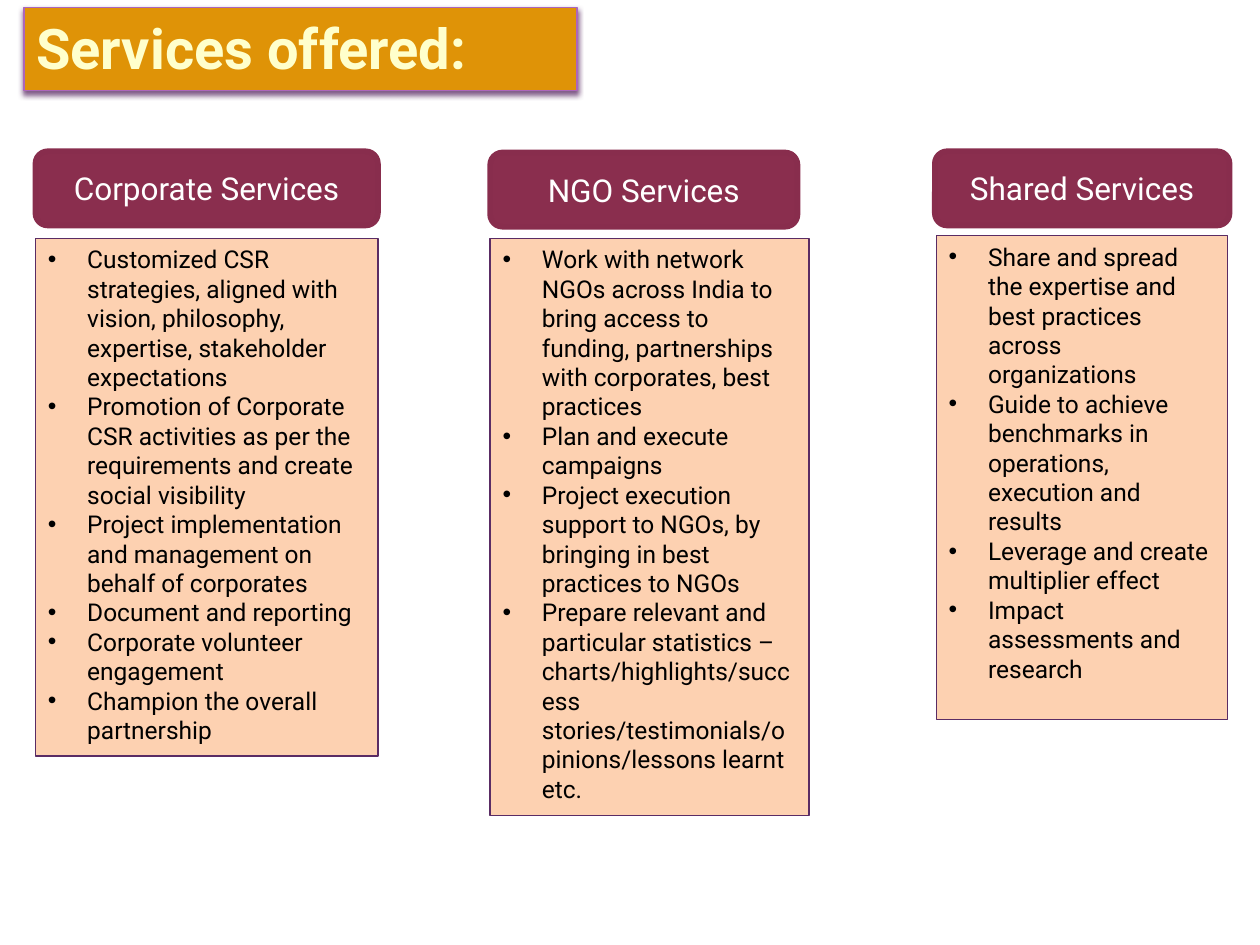
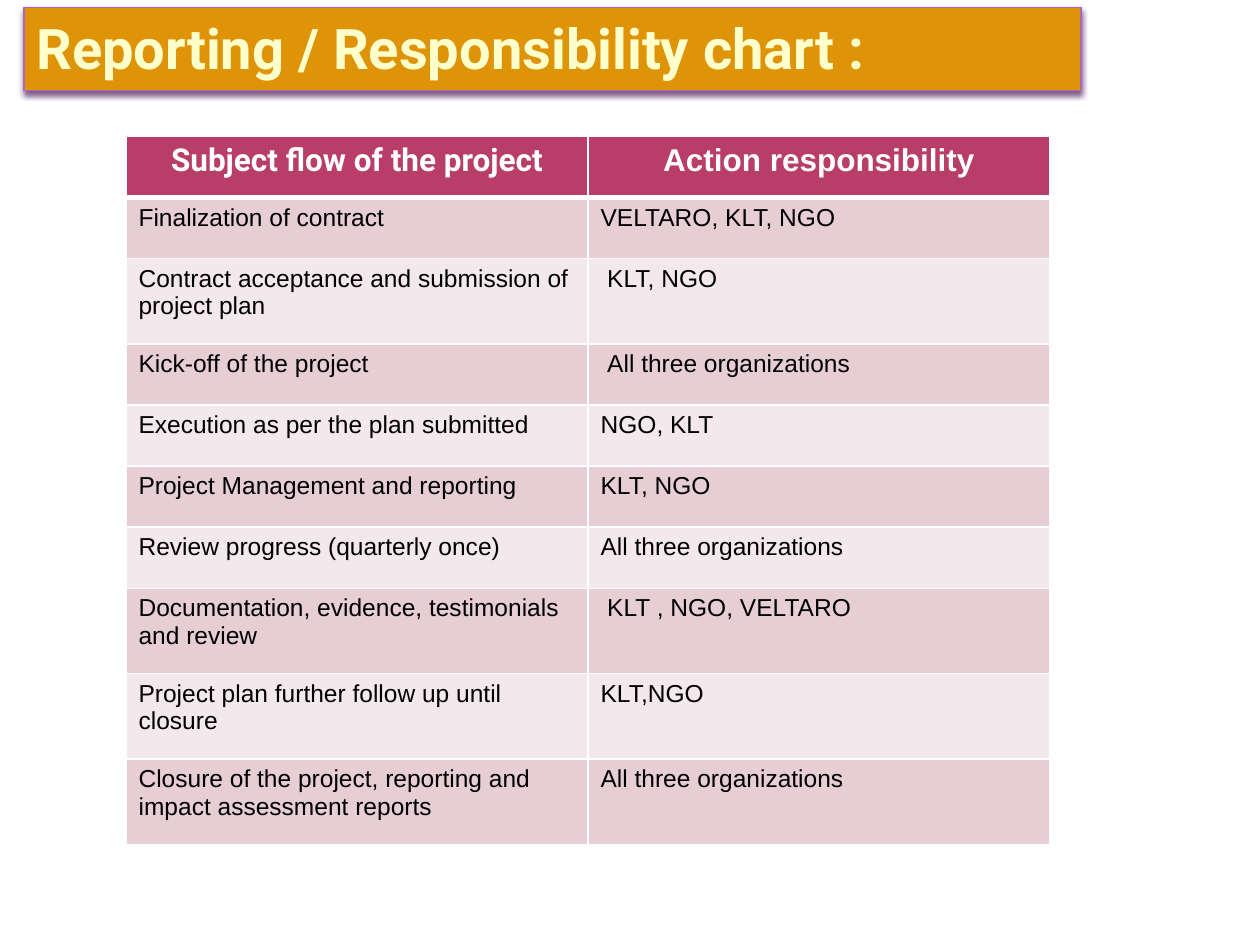
from lxml import etree
from pptx import Presentation
from pptx.dml.color import RGBColor
from pptx.enum import shapes, text
from pptx.oxml import ns
from pptx.util import Pt

FONT = "Roboto"
TABLE_FONT = "Arial"
TITLE_FILL, TITLE_LINE, TITLE_TEXT, TITLE_SHADOW = "DF9307", "AC66BB", "FFFFCC", "6A3F73"
HEAD_FILL, HEAD_LINE = "8A2E4E", "882D4D"
BODY_FILL, BODY_LINE = "FDD1B1", "5A2C64"
TABLE_HEAD, TABLE_BANDS = "B83D68", ("F3E8EB", "E6CED4")
WHITE, BLACK = "FFFFFF", "000000"

TITLE_LEFT, TITLE_TOP, TITLE_HEIGHT = 13.7, 4.3, 47.5
HEAD_HEIGHT = 42.5
BULLET_INDENT = 22.5
ROW_HEIGHT, TALL_ROW_HEIGHT = 34.9, 48.8
TALL_ROWS = (2, 7, 8, 9)
INSET_ROWS = (2, 3, 7)
CELL_MARGIN, INSET_MARGIN = 7.2, 11

SERVICES = [
    ("Corporate Services", (20.2, 86.4, 195.8), (20.2, 136.1, 195.8, 295.9), [
        "Customized CSR strategies, aligned with vision, philosophy, expertise, "
        "stakeholder expectations",
        "Promotion of Corporate CSR activities as per the requirements and create "
        "social visibility",
        "Project implementation and management on behalf of corporates",
        "Document and reporting",
        "Corporate volunteer engagement",
        "Champion the overall partnership",
    ]),
    ("NGO Services", (280.1, 87.1, 175.7), (280.1, 136.1, 182.2, 329.8), [
        "Work with network NGOs across India to bring access to funding, partnerships "
        "with corporates, best practices",
        "Plan and execute campaigns",
        "Project execution support to NGOs, by bringing in best practices to NGOs",
        "Prepare relevant and particular statistics – charts/highlights/success "
        "stories/testimonials/opinions/lessons learnt etc.",
    ]),
    ("Shared Services", (534.2, 86.4, 168.5), (535, 134.6, 166.3, 276.5), [
        "Share and spread the expertise and best practices across organizations",
        "Guide to achieve benchmarks in operations, execution and results",
        "Leverage and create multiplier effect",
        "Impact assessments and research",
    ]),
]

RESPONSIBILITIES = [
    ("Subject flow of the project", "Action responsibility"),
    ("Finalization of contract", "VELTARO, KLT, NGO"),
    ("Contract acceptance and submission of project plan", "KLT, NGO"),
    ("Kick-off of the project", "All three organizations"),
    ("Execution as per the plan submitted", "NGO, KLT"),
    ("Project Management and reporting", "KLT, NGO"),
    ("Review progress (quarterly once)", "All three organizations"),
    ("Documentation, evidence, testimonials and review", "KLT , NGO, VELTARO"),
    ("Project plan further follow up until closure", "KLT,NGO"),
    ("Closure of the project, reporting and impact assessment reports",
     "All three organizations"),
]


def color(value):
    """Turn a hex string into a colour."""
    return RGBColor.from_string(value)


def add_node(parent, tag, **attributes):
    """Append a DrawingML element to its parent."""
    return etree.SubElement(parent, ns.qn(tag), attributes)


def add_panel(page, kind, box, fill, line, line_width):
    """Draw a filled, outlined shape whose text starts at the top."""
    panel = page.shapes.add_shape(kind, *map(Pt, box))
    panel.shadow.inherit = False
    panel.fill.solid()
    panel.fill.fore_color.rgb = color(fill)
    panel.line.color.rgb = color(line)
    panel.line.width = Pt(line_width)
    panel.text_frame.word_wrap = True
    panel.text_frame.vertical_anchor = text.MSO_ANCHOR.TOP
    return panel


def write(para, words, size, ink, font=FONT, bold=False, align=text.PP_ALIGN.LEFT):
    """Add one styled run to a paragraph."""
    para.alignment = align
    span = para.add_run()
    span.text = words
    span.font.size = Pt(size)
    span.font.name = font
    span.font.bold = bold
    span.font.color.rgb = color(ink)


def add_title(page, words, width):
    """Draw the title band with its soft shadow."""
    box = (TITLE_LEFT, TITLE_TOP, width, TITLE_HEIGHT)
    band = add_panel(page, shapes.MSO_SHAPE.RECTANGLE, box, TITLE_FILL, TITLE_LINE, 0.9)
    effects = band.element.spPr.find(ns.qn("a:effectLst"))
    shadow = add_node(effects, "a:outerShdw", blurRad=str(Pt(3.1)), dist=str(Pt(2)),
                      dir="5400000", rotWithShape="0")
    add_node(add_node(shadow, "a:srgbClr", val=TITLE_SHADOW), "a:alpha", val="83000")
    write(band.text_frame.paragraphs[0], words, 32, TITLE_TEXT, bold=True)


def add_service(page, name, head_box, body_box, points):
    """Draw one service heading and its bulleted panel."""
    head = add_panel(page, shapes.MSO_SHAPE.ROUNDED_RECTANGLE, (*head_box, HEAD_HEIGHT),
                     HEAD_FILL, HEAD_LINE, 3.15)
    head.text_frame.vertical_anchor = text.MSO_ANCHOR.MIDDLE
    write(head.text_frame.paragraphs[0], name, 18, WHITE, align=text.PP_ALIGN.CENTER)

    body = add_panel(page, shapes.MSO_SHAPE.RECTANGLE, body_box, BODY_FILL, BODY_LINE, 0.75)
    for index, point in enumerate(points):
        frame = body.text_frame
        para = frame.add_paragraph() if index else frame.paragraphs[0]
        properties = para._p.get_or_add_pPr()
        properties.set("marL", str(Pt(BULLET_INDENT)))
        properties.set("indent", str(-Pt(BULLET_INDENT)))
        add_node(properties, "a:buFont", typeface="Arial")
        add_node(properties, "a:buChar", char="•")
        write(para, point, 14, BLACK)


def set_borders(cell, top, bottom):
    """Give a cell white borders of the stated top and bottom widths."""
    properties = cell._tc.get_or_add_tcPr()
    widths = {"a:lnL": 1, "a:lnR": 1, "a:lnT": top, "a:lnB": bottom}
    for position, (tag, width) in enumerate(widths.items()):
        edge = add_node(properties, tag, w=str(Pt(width)))
        add_node(add_node(edge, "a:solidFill"), "a:srgbClr", val=WHITE)
        properties.insert(position, edge)


def add_responsibility_table(page, left, top, width):
    """Draw the table of project steps and who acts on them."""
    heights = [TALL_ROW_HEIGHT if row in TALL_ROWS else ROW_HEIGHT
               for row in range(len(RESPONSIBILITIES))]
    table = page.shapes.add_table(len(heights), 2, Pt(left), Pt(top), Pt(width),
                                  Pt(sum(heights))).table
    for column in table.columns:
        column.width = Pt(width / 2)
    for row, words in enumerate(RESPONSIBILITIES):
        table.rows[row].height = Pt(heights[row])
        for column, entry in enumerate(words):
            cell = table.cell(row, column)
            cell.fill.solid()
            cell.fill.fore_color.rgb = color(TABLE_BANDS[row % 2] if row else TABLE_HEAD)
            set_borders(cell, 3 if row == 1 else 1, 1 if row else 3)
            inset = column == 1 and row in INSET_ROWS
            cell.margin_left = Pt(INSET_MARGIN if inset else CELL_MARGIN)
            para = cell.text_frame.paragraphs[0]
            if row:
                write(para, entry, 14, BLACK, TABLE_FONT)
            else:
                write(para, entry, 18, WHITE, TABLE_FONT if column else FONT, True,
                      text.PP_ALIGN.CENTER)


def build_services(page):
    """Fill the slide of services offered."""
    for service in SERVICES:
        add_service(page, *service)
    add_title(page, "Services offered:", 316)


def build_responsibilities(page):
    """Fill the slide with the responsibility chart."""
    add_title(page, "Reporting / Responsibility chart :", 604)
    add_responsibility_table(page, 72, 78, 528)


def main():
    """Build the deck and save it."""
    deck = Presentation()
    deck.slide_width, deck.slide_height = Pt(720), Pt(540)
    for build in (build_services, build_responsibilities):
        build(deck.slides.add_slide(deck.slide_layouts[6]))
    deck.save("out.pptx")


if __name__ == "__main__":
    main()
